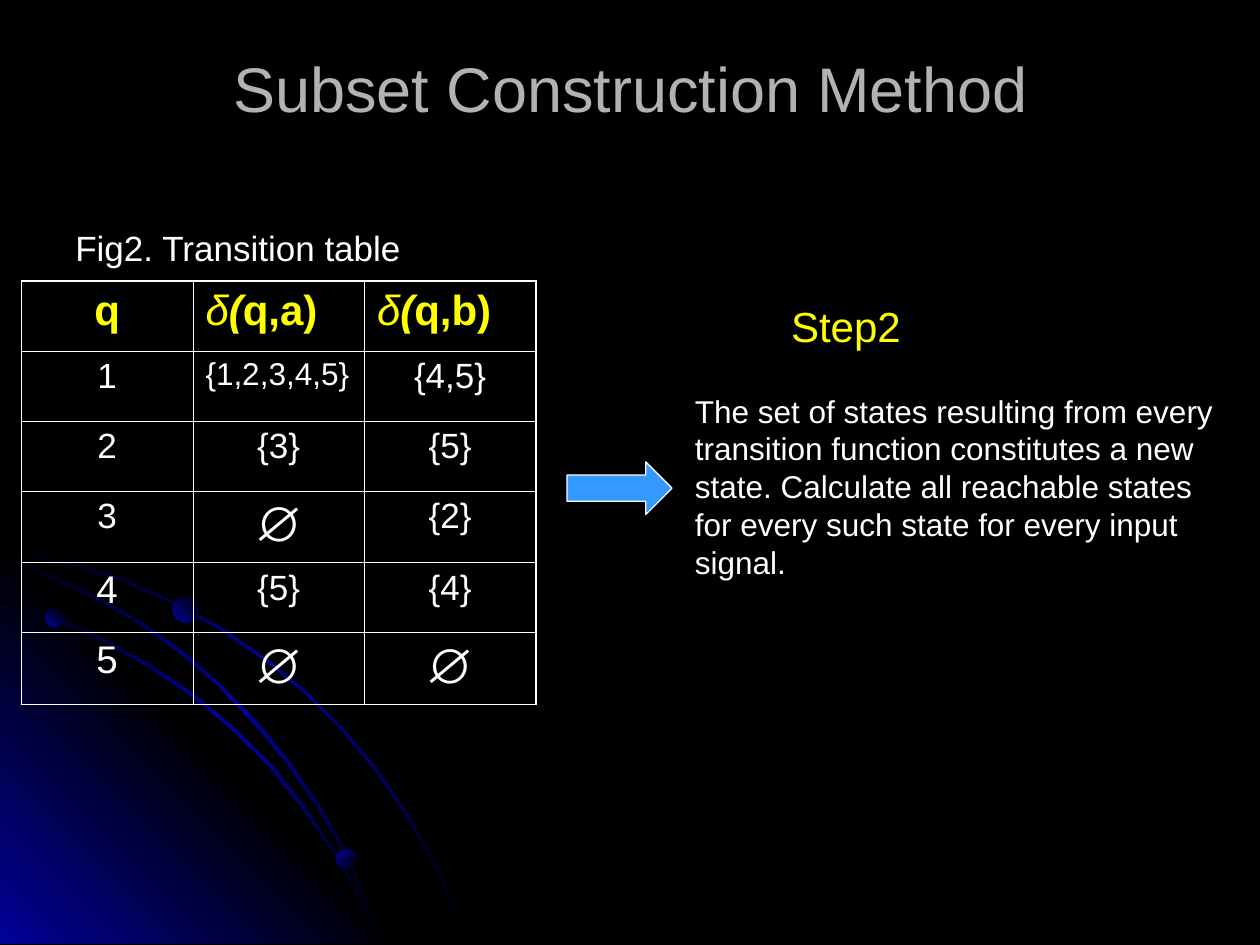
from lxml.etree import SubElement
from pptx import Presentation
from pptx.dml.color import RGBColor
from pptx.enum.shapes import MSO_SHAPE
from pptx.enum.text import MSO_AUTO_SIZE, PP_ALIGN
from pptx.oxml import parse_xml
from pptx.oxml.ns import nsdecls, qn
from pptx.util import Pt

BLACK = RGBColor(0x00, 0x00, 0x00)
WHITE = RGBColor(0xFF, 0xFF, 0xFF)
YELLOW = RGBColor(0xFF, 0xFF, 0x00)
GRAY = RGBColor(0xB2, 0xB2, 0xB2)
SKY = RGBColor(0x33, 0x99, 0xFF)
NAVY = RGBColor(0x01, 0x01, 0x99)
FONT = "Arial"

# Corner outlines, in hundredths of an inch
UNIT = Pt(0.72)
CORNER = [(322, 749), (0, 749), (0, 427)]
OUTER_ARC = [
    (57, 447), (28, 441), (0, 435), (0, 438), (28, 443), (56, 449), (97, 461),
    (135, 478), (173, 499), (208, 523), (241, 549), (271, 579), (298, 612),
    (323, 649), (337, 673), (350, 698), (360, 723), (370, 749), (372, 749),
    (362, 723), (352, 698), (339, 673), (325, 648), (300, 611), (272, 578),
    (242, 548), (209, 521), (174, 497), (136, 477), (98, 459)]
INNER_ARC = [
    (285, 714), (294, 732), (301, 749), (303, 749), (296, 730), (286, 712),
    (266, 676), (242, 640), (215, 606), (184, 576), (152, 549), (117, 526),
    (79, 505), (41, 488), (0, 475), (0, 477), (39, 490), (77, 507), (115, 528),
    (150, 551), (183, 578), (213, 608), (240, 642), (265, 677)]
MIDDLE_ARC = [
    (0, 442), (0, 444), (36, 457), (74, 475), (109, 494), (142, 518),
    (173, 544), (202, 575), (227, 605), (252, 641), (267, 667), (280, 694),
    (292, 722), (301, 749), (303, 749), (294, 720), (282, 693), (269, 665),
    (254, 639), (229, 603), (204, 573), (175, 543), (144, 516), (111, 493),
    (76, 473), (39, 455)]

# Transition table
HEADER = ["q", "δ(q,a)", "δ(q,b)"]
ROWS = [
    ["1", "{1,2,3,4,5}", "{4,5}"],
    ["2", "{3}", "{5}"],
    ["3", "∅", "{2}"],
    ["4", "{5}", "{4}"],
    ["5", "∅", "∅"],
]
CELL_SIZES = {"{1,2,3,4,5}": 18, "∅": 28, "4": 22, "5": 22}
ROW_HEIGHTS = [40, 40, 40, 41, 40, 41]
COLUMN_WIDTH = 98


def set_font(font, size, color, bold=False):
    font.name, font.size, font.bold = FONT, Pt(size), bold
    font.color.rgb = color


def set_gradient(shape, colors, angle):
    """Fill with evenly spaced colours, angle in clockwise degrees."""
    step = 100000 // (len(colors) - 1)
    stops = "".join(
        f'<a:gs pos="{i * step}"><a:srgbClr val="{color}"/></a:gs>'
        for i, color in enumerate(colors))
    shape.fill.background()
    no_fill = shape._element.spPr.find(qn("a:noFill"))
    no_fill.getparent().replace(no_fill, parse_xml(
        f'<a:gradFill {nsdecls("a")}><a:gsLst>{stops}</a:gsLst>'
        f'<a:lin ang="{angle * 60000}" scaled="0"/></a:gradFill>'))
    shape.line.fill.background()
    shape.shadow.inherit = False


def add_outline(page, points, colors, angle):
    builder = page.shapes.build_freeform(*points[0], scale=UNIT)
    builder.add_line_segments(points[1:], close=True)
    set_gradient(builder.convert_to_shape(), colors, angle)


def add_dot(page, left, top, size, angle):
    dot = page.shapes.add_shape(
        MSO_SHAPE.OVAL, Pt(left), Pt(top), Pt(size), Pt(size))
    set_gradient(dot, [BLACK, NAVY], angle)


def add_text(page, frame, text, size, color, align=PP_ALIGN.LEFT, wrap=True):
    box = page.shapes.add_textbox(*map(Pt, frame))
    box.text_frame.word_wrap = wrap
    box.text_frame.auto_size = MSO_AUTO_SIZE.NONE
    para = box.text_frame.paragraphs[0]
    para.text, para.alignment = text, align
    set_font(para.font, size, color)


def set_borders(cell, widths):
    properties = cell._tc.get_or_add_tcPr()
    for side, width in widths.items():
        line = SubElement(properties, qn(f"a:{side}"), w=str(Pt(width)))
        fill = SubElement(line, qn("a:solidFill"))
        SubElement(fill, qn("a:srgbClr"), val=str(WHITE))


def fill_cell(cell, text, is_header):
    para = cell.text_frame.paragraphs[0]
    left_aligned = text.startswith("δ") or text == "{1,2,3,4,5}"
    para.alignment = PP_ALIGN.LEFT if left_aligned else PP_ALIGN.CENTER
    if not is_header:
        para.text = text
        set_font(para.font, CELL_SIZES.get(text, 20), WHITE)
        return
    set_font(para.font, 24, YELLOW, bold=True)
    # The symbol is light italic, its bracket bold italic
    parts = [text[0], text[1], text[2:]] if left_aligned else [text]
    for part in parts:
        span = para.add_run()
        span.text = part
        set_font(span.font, 24, YELLOW, bold=part != "δ")
        span.font.italic = part in ("δ", "(")


def add_transition_table(page):
    grid = [HEADER] + ROWS
    last_row, last_column = len(grid) - 1, len(HEADER) - 1
    table = page.shapes.add_table(
        len(grid), len(HEADER), Pt(12.24), Pt(160.56),
        Pt(COLUMN_WIDTH * len(HEADER)), Pt(sum(ROW_HEIGHTS))).table
    table.first_row = table.horz_banding = False
    for column in table.columns:
        column.width = Pt(COLUMN_WIDTH)
    for r, texts in enumerate(grid):
        table.rows[r].height = Pt(ROW_HEIGHTS[r])
        for c, text in enumerate(texts):
            cell = table.cell(r, c)
            fill_cell(cell, text, r == 0)
            at_edge = {"lnL": c == 0, "lnR": c == last_column,
                       "lnT": r == 0, "lnB": r == last_row}
            set_borders(cell, {side: 1.08 if edge else 0.45
                               for side, edge in at_edge.items()})
            cell.fill.background()


def add_arrow(page):
    arrow = page.shapes.add_shape(
        MSO_SHAPE.RIGHT_ARROW, Pt(324), Pt(264), Pt(60), Pt(30))
    arrow.fill.solid()
    arrow.fill.fore_color.rgb = SKY
    arrow.line.color.rgb = WHITE
    arrow.line.width = Pt(0.75)
    arrow.shadow.inherit = False


def main():
    deck = Presentation()
    deck.slide_width, deck.slide_height = Pt(720), Pt(540)
    page = deck.slides.add_slide(deck.slide_layouts[6])
    page.background.fill.solid()
    page.background.fill.fore_color.rgb = BLACK

    # Corner decoration
    glow = [BLACK, NAVY, BLACK]
    add_outline(page, OUTER_ARC, glow, 225)
    add_outline(page, CORNER, [NAVY, BLACK, NAVY], 135)
    add_outline(page, INNER_ARC, glow, 225)
    add_outline(page, MIDDLE_ARC, glow, 225)
    add_dot(page, 25.9, 347.8, 10.8, 135)
    add_dot(page, 192, 485.3, 11.5, 225)
    add_dot(page, 98.6, 340.6, 15.1, 135)

    # Table with its caption
    add_text(page, (36, 126, 648, 356.4), "Fig2. Transition table", 20, WHITE)
    add_transition_table(page)
    add_arrow(page)

    # Title and step description
    add_text(page, (126, 24.5, 468.7, 50.4), "Subset Construction Method",
             36, GRAY, PP_ALIGN.CENTER, wrap=False)
    add_text(page, (445, 168, 77, 36), "Step2", 24, YELLOW, wrap=False)
    add_text(page, (390, 220.3, 312, 115.2),
             "The set of states resulting from every transition function "
             "constitutes a new state. Calculate all reachable states for "
             "every such state for every input signal.", 18, WHITE)

    deck.save("out.pptx")


if __name__ == "__main__":
    main()
